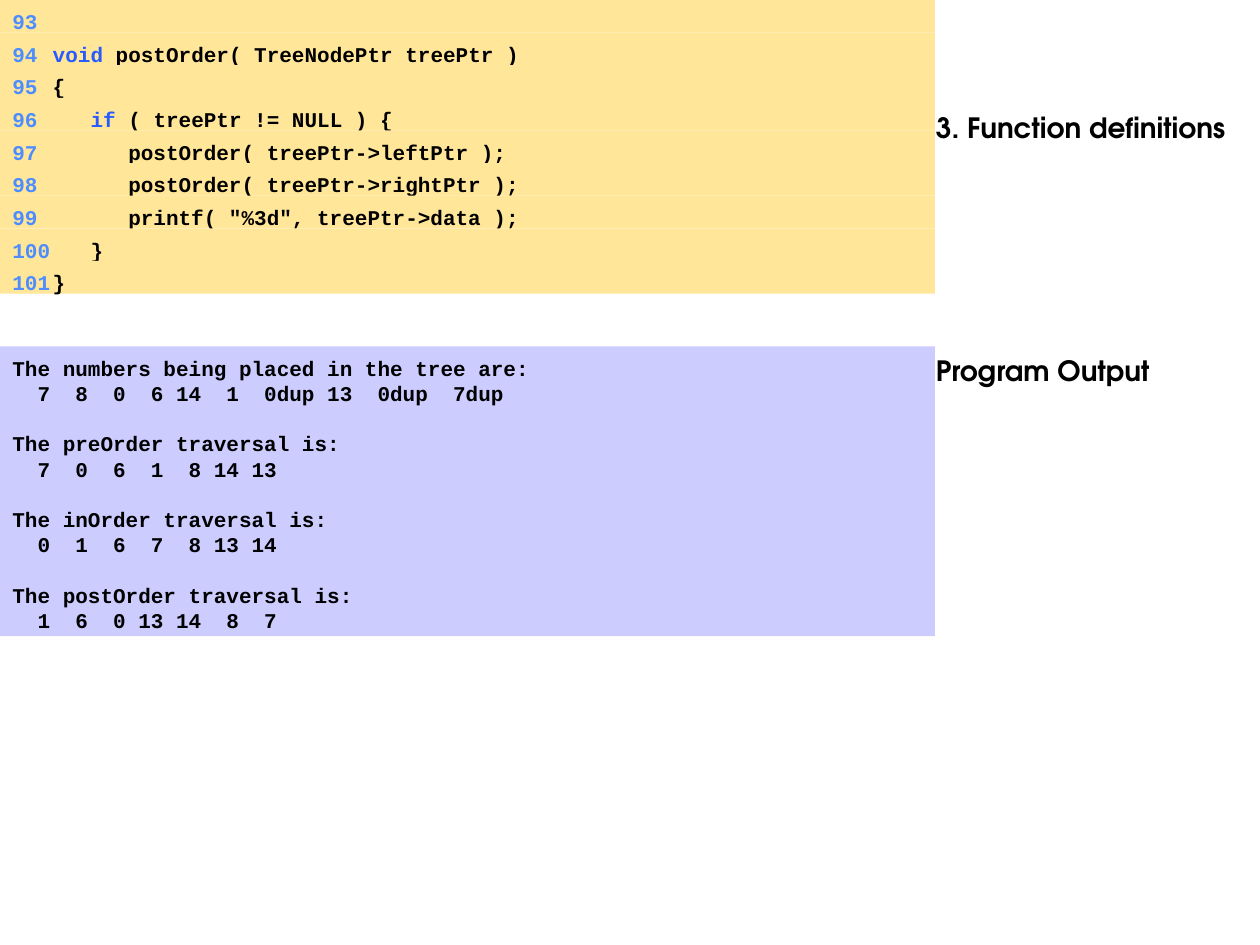
from dataclasses import dataclass

from lxml import etree
from pptx import Presentation
from pptx.dml.color import RGBColor
from pptx.enum.shapes import MSO_SHAPE
from pptx.enum.text import MSO_ANCHOR, PP_ALIGN
from pptx.oxml.ns import qn
from pptx.util import Inches, Pt

RECTANGLE = MSO_SHAPE.RECTANGLE
TOP = MSO_ANCHOR.TOP
LEFT = PP_ALIGN.LEFT


@dataclass(frozen=True)
class Theme:
    """Colours, fonts and type sizes of the slide."""
    listing_fill: RGBColor = RGBColor(0xFF, 0xE6, 0x99)
    output_fill: RGBColor = RGBColor(0xCC, 0xCC, 0xFF)
    line_number: RGBColor = RGBColor(0x4D, 0x8D, 0xFF)
    keyword: RGBColor = RGBColor(0x27, 0x5A, 0xFF)
    ink: RGBColor = RGBColor(0, 0, 0)
    code_font: str = "Courier New"
    heading_font: str = "TeX Gyre Adventor"
    code_size: Pt = Pt(12)
    code_leading: Pt = Pt(14.4)
    heading_size: Pt = Pt(16)
    heading_gap: Pt = Pt(119.7)


THEME = Theme()
CODE_TAB = Inches(0.32)
FIRST_LINE = 93
CODE_LINES = [
    [],
    [("void", THEME.keyword), (" postOrder( TreeNodePtr treePtr )", THEME.ink)],
    [("{", THEME.ink)],
    [("   ", THEME.ink), ("if", THEME.keyword), (" ( treePtr != NULL ) {", THEME.ink)],
    [("      postOrder( treePtr->leftPtr );", THEME.ink)],
    [("      postOrder( treePtr->rightPtr );", THEME.ink)],
    [('      printf( "%3d", treePtr->data );', THEME.ink)],
    [("   }", THEME.ink)],
    [("}", THEME.ink)],
]
OUTPUT = [
    ("The numbers being placed in the tree are:", "  7  8  0  6 14  1  0dup 13  0dup  7dup"),
    ("The preOrder traversal is:", "  7  0  6  1  8 14 13"),
    ("The inOrder traversal is:", "  0  1  6  7  8 13 14"),
    ("The postOrder traversal is:", "  1  6  0 13 14  8  7"),
]
HEADINGS = ["3. Function definitions", "Program Output"]


def add_run(paragraph, text, color, font_name, size):
    """Add one bold run to the paragraph."""
    run = paragraph.add_run()
    run.text = text
    run.font.name = font_name
    run.font.size = size
    run.font.bold = True
    run.font.color.rgb = color


def add_code_run(paragraph, text, color):
    """Add one monospaced run to the paragraph."""
    add_run(paragraph, text, color, THEME.code_font, THEME.code_size)


def add_code_panel(slide, left, top, width, height, fill):
    """Add a plain filled panel and return its text frame."""
    panel = slide.shapes.add_shape(RECTANGLE, left, top, width, height)
    panel.shadow.inherit = False
    panel.fill.solid()
    panel.fill.fore_color.rgb = fill
    panel.line.fill.background()
    frame = panel.text_frame
    frame.word_wrap = True
    frame.vertical_anchor = TOP
    frame.margin_top = Inches(0.07)
    frame.margin_bottom = Inches(0.03)
    return frame


def style_code_paragraph(paragraph):
    """Align the paragraph left with the leading of code."""
    paragraph.alignment = LEFT
    paragraph.line_spacing = THEME.code_leading


def add_tab_stop(paragraph, position):
    """Add one left tab stop to the paragraph."""
    tab_list = etree.SubElement(paragraph._p.get_or_add_pPr(), qn("a:tabLst"))
    etree.SubElement(tab_list, qn("a:tab"), pos=str(position), algn="l")


def add_listing(slide, left, top, width, height):
    """Draw the numbered code listing as equal rows."""
    row_height = height / len(CODE_LINES)
    for index, pieces in enumerate(CODE_LINES):
        row_top = round(top + index * row_height)
        frame = add_code_panel(slide, left, row_top, width, round(row_height), THEME.listing_fill)
        paragraph = frame.paragraphs[0]
        style_code_paragraph(paragraph)
        add_tab_stop(paragraph, CODE_TAB)
        number = str(FIRST_LINE + index)
        add_code_run(paragraph, f"{number}\t" if pieces else number, THEME.line_number)
        for text, color in pieces:
            add_code_run(paragraph, text, color)


def add_output(slide, left, top, width, height):
    """Draw the program output, one caption and result per group."""
    frame = add_code_panel(slide, left, top, width, height, THEME.output_fill)
    for index, (caption, result) in enumerate(OUTPUT):
        caption_line = frame.add_paragraph() if index else frame.paragraphs[0]
        result_line = frame.add_paragraph()
        for paragraph, text in ((caption_line, caption), (result_line, result)):
            style_code_paragraph(paragraph)
            add_code_run(paragraph, text, THEME.ink)
        if index:
            caption_line.space_before = THEME.code_leading


def add_sidebar(slide, left, top, width, height):
    """Place the headings beside the listing and the output."""
    frame = slide.shapes.add_textbox(left, top, width, height).text_frame
    frame.word_wrap = True
    for index, heading in enumerate(HEADINGS):
        paragraph = frame.add_paragraph() if index else frame.paragraphs[0]
        if index:
            paragraph.space_before = THEME.heading_gap
        add_run(paragraph, heading, THEME.ink, THEME.heading_font, THEME.heading_size)


def main():
    """Build and save the slide."""
    deck = Presentation()
    deck.slide_width = Inches(10)
    deck.slide_height = Inches(7.5)
    slide = deck.slides.add_slide(deck.slide_layouts[6])
    add_sidebar(slide, Inches(7.33), Inches(0.83), Inches(2.67), Inches(6.67))
    add_listing(slide, Inches(0), Inches(0), Inches(7.42), Inches(2.33))
    add_output(slide, Inches(0), Inches(2.75), Inches(7.42), Inches(2.3))
    deck.save("out.pptx")


if __name__ == "__main__":
    main()
